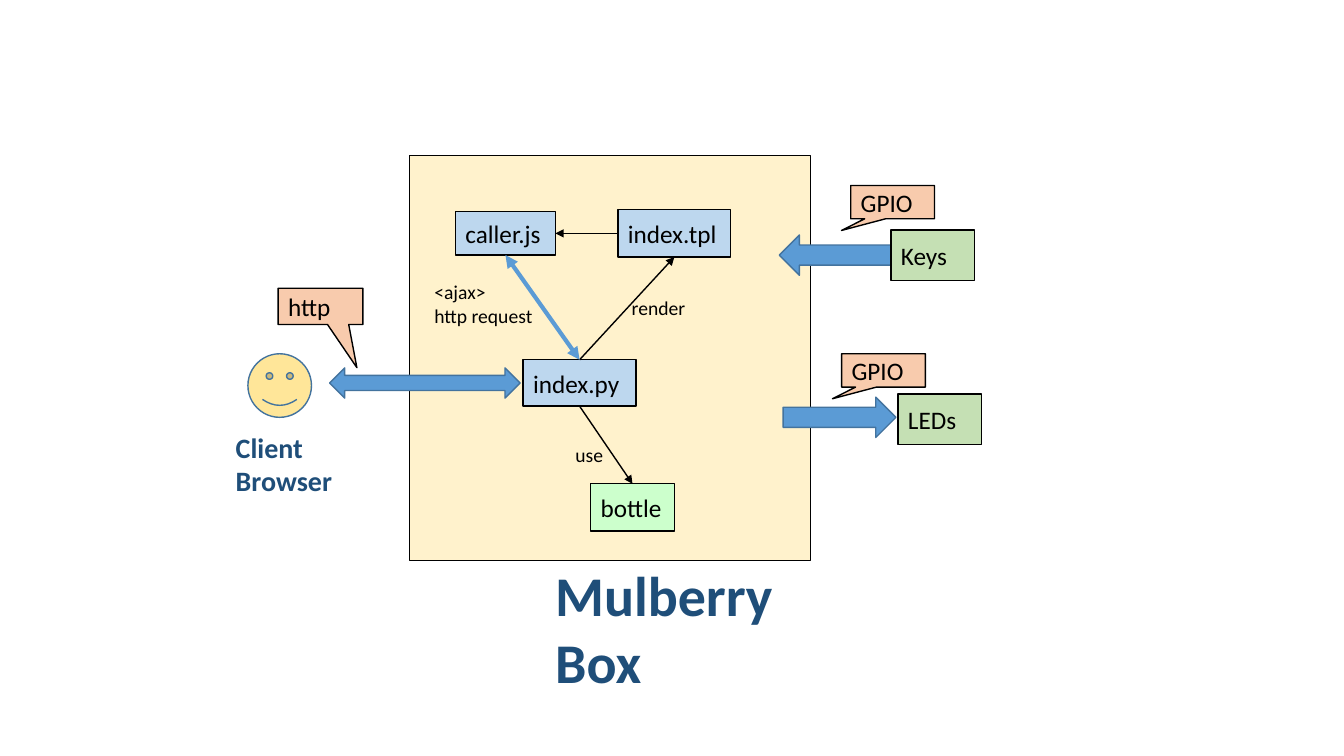
from dataclasses import dataclass

from lxml.etree import SubElement
from pptx import Presentation
from pptx.dml.color import RGBColor
from pptx.enum.shapes import MSO_CONNECTOR, MSO_SHAPE
from pptx.enum.text import MSO_ANCHOR, PP_ALIGN
from pptx.oxml.ns import qn
from pptx.util import Pt


@dataclass(frozen=True)
class Theme:
    """Font, type sizes and colours of the slide."""
    font: str = "Calibri"
    title: int = 40
    heading: int = 20
    body: int = 18
    small: int = 14
    ink: str = "000000"
    navy: str = "1F4E79"
    blue: str = "5B9BD5"
    edge: str = "43739E"
    board: str = "FFF2CC"
    file: str = "BDD7EE"
    library: str = "CCFFCC"
    device: str = "C5E0B4"
    callout: str = "F8CBAD"
    face: str = "FFE699"


T = Theme()
BOARD = (292.3, 110.9, 286.6, 289.4)
FACE = (177.1, 252.7, 45.4, 45.4)

# kind, (left, top, width, height), rotation
ARROWS = [
    (MSO_SHAPE.RIGHT_ARROW, (556.6, 167.8, 80.6, 28.8), 180),
    (MSO_SHAPE.RIGHT_ARROW, (559.4, 283.7, 80.6, 28.8), 0),
    (MSO_SHAPE.LEFT_RIGHT_ARROW, (235.4, 262.8, 136.1, 21.6), 0),
]
# text, (left, top, width, height), fill
BOXES = [
    ("index.py", (373.7, 257, 80.6, 33.1), T.file),
    ("index.tpl", (441.4, 149.8, 80.6, 33.8), T.file),
    ("caller.js", (325.4, 151.2, 71.3, 31), T.file),
    ("bottle", (421.9, 345.6, 59.8, 33.8), T.library),
    ("Keys", (636.5, 164.2, 59.8, 36), T.device),
    ("LEDs", (641.5, 281.5, 59.8, 36), T.device),
]
# text, (left, top, width, height), pointer tip
CALLOUTS = [
    ("GPIO", (607.7, 132.5, 59.8, 23.8), (-0.61, 0.85)),
    ("GPIO", (601.2, 252.7, 59.8, 23.8), (-0.61, 0.85)),
    ("http", (198.7, 205.9, 60.5, 25.9), (0.43, 1.69)),
]
# from, side, to, side, colour, width, ends with arrowheads
TOP, LEFT, BOTTOM, RIGHT = range(4)
LINKS = [
    ("index.py", BOTTOM, "bottle", TOP, T.ink, 1, ["tailEnd"]),
    ("index.tpl", LEFT, "caller.js", RIGHT, T.ink, 1, ["tailEnd"]),
    ("index.py", TOP, "index.tpl", BOTTOM, T.ink, 1, ["tailEnd"]),
    ("caller.js", BOTTOM, "index.py", TOP, T.blue, 3, ["headEnd", "tailEnd"]),
]
# lines, (left, top, width, height), size, colour, bold, wrap
LABELS = [
    (["Mulberry Box"], (389.5, 396.7, 226, 55.4), T.title, T.navy, True, False),
    (["Client Browser"], (161.3, 303.8, 97.2, 55.4), T.heading, T.navy, True, True),
    (["<ajax>", "http request"], (303.1, 196.6, 85.7, 41), T.small, T.ink, False, False),
    (["use"], (403.9, 312.5, 34.6, 24.5), T.small, T.ink, False, False),
    (["render"], (444.2, 208.1, 53.3, 24.5), T.small, T.ink, False, False),
]


def rgb(value):
    """Turn a hex string into a colour."""
    return RGBColor.from_string(value)


def write(tf, lines, size, color=T.ink, bold=False):
    """Fill a text frame with one left-aligned paragraph per line."""
    for i, line in enumerate(lines):
        p = tf.paragraphs[0] if i == 0 else tf.add_paragraph()
        p.text, p.alignment = line, PP_ALIGN.LEFT
        p.font.name, p.font.size, p.font.bold = T.font, Pt(size), bold
        p.font.color.rgb = rgb(color)


def add_shape(s, kind, at, fill, line=T.ink, text=None):
    """Draw a preset shape, with text if given."""
    sp = s.shapes.add_shape(kind, *map(Pt, at))
    sp.shadow.inherit = False
    sp.fill.solid()
    sp.fill.fore_color.rgb = rgb(fill)
    sp.line.color.rgb = rgb(line)
    sp.line.width = Pt(1)
    if text:
        sp.text_frame.vertical_anchor = MSO_ANCHOR.MIDDLE
        write(sp.text_frame, [text], T.body)
    return sp


def add_label(s, lines, at, size, color, bold, wrap):
    """Place a free text label."""
    tf = s.shapes.add_textbox(*map(Pt, at)).text_frame
    tf.word_wrap = wrap
    write(tf, lines, size, color, bold)


def add_link(s, start, start_side, end, end_side, color, width, heads):
    """Join two boxes with an arrow."""
    c = s.shapes.add_connector(MSO_CONNECTOR.STRAIGHT, 0, 0, 0, 0)
    c.begin_connect(start, start_side)
    c.end_connect(end, end_side)
    c.line.color.rgb = rgb(color)
    c.line.width = Pt(width)
    ln = c.line._get_or_add_ln()
    for head in heads:
        SubElement(ln, qn("a:" + head), type="triangle")
    SubElement(c._element.spPr, qn("a:effectLst"))


prs = Presentation()
prs.slide_width, prs.slide_height = Pt(960), Pt(540)
s = prs.slides.add_slide(prs.slide_layouts[6])

add_shape(s, MSO_SHAPE.RECTANGLE, BOARD, T.board)
add_shape(s, MSO_SHAPE.SMILEY_FACE, FACE, T.face, T.edge)
for kind, at, rotation in ARROWS:
    add_shape(s, kind, at, T.blue, T.edge).rotation = rotation
boxes = {text: add_shape(s, MSO_SHAPE.RECTANGLE, at, fill, text=text)
         for text, at, fill in BOXES}
for text, at, tip in CALLOUTS:
    sp = add_shape(s, MSO_SHAPE.RECTANGULAR_CALLOUT, at, T.callout, text=text)
    sp.adjustments[0], sp.adjustments[1] = tip
for start, start_side, end, end_side, *style in LINKS:
    add_link(s, boxes[start], start_side, boxes[end], end_side, *style)
for label in LABELS:
    add_label(s, *label)

prs.save("out.pptx")
